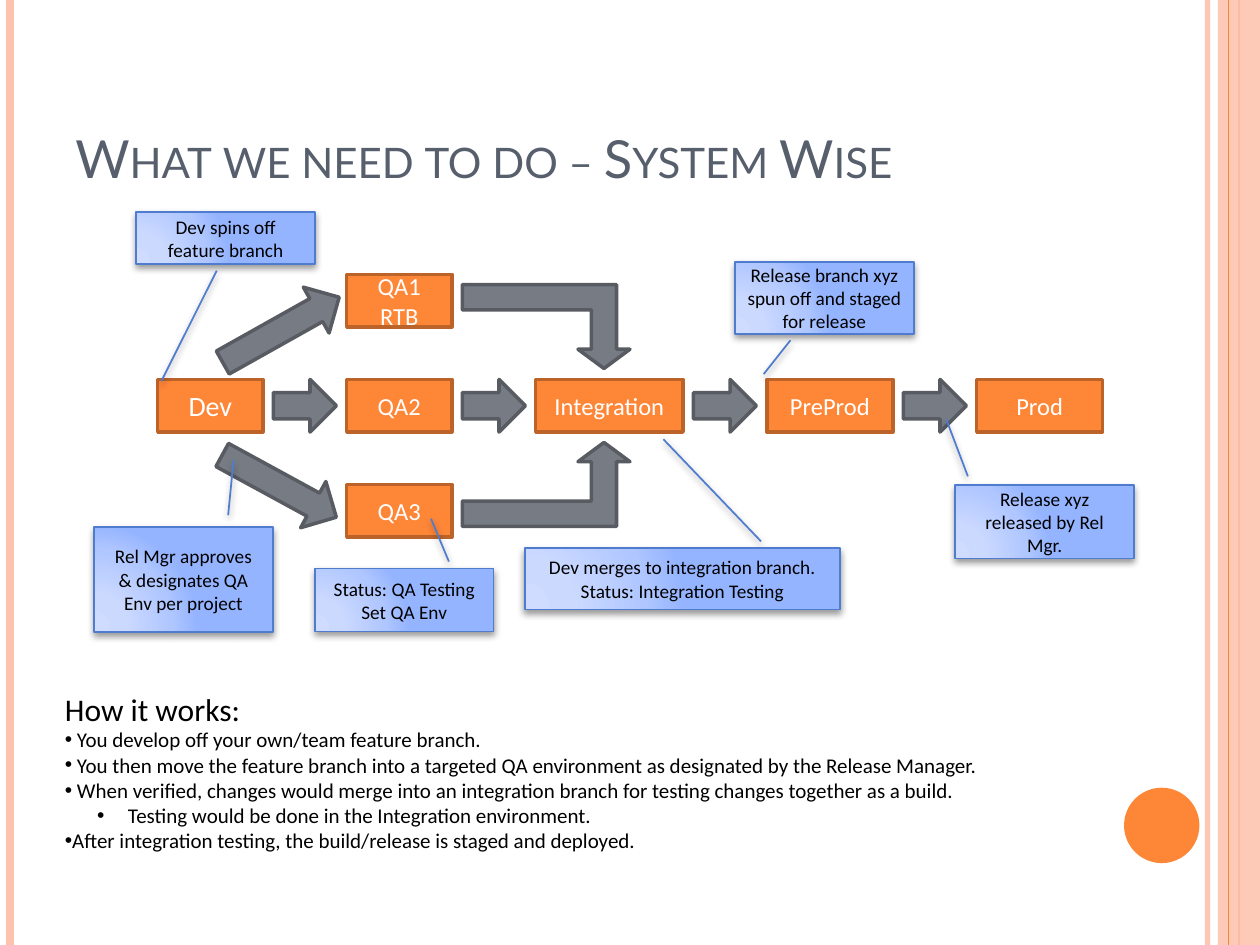
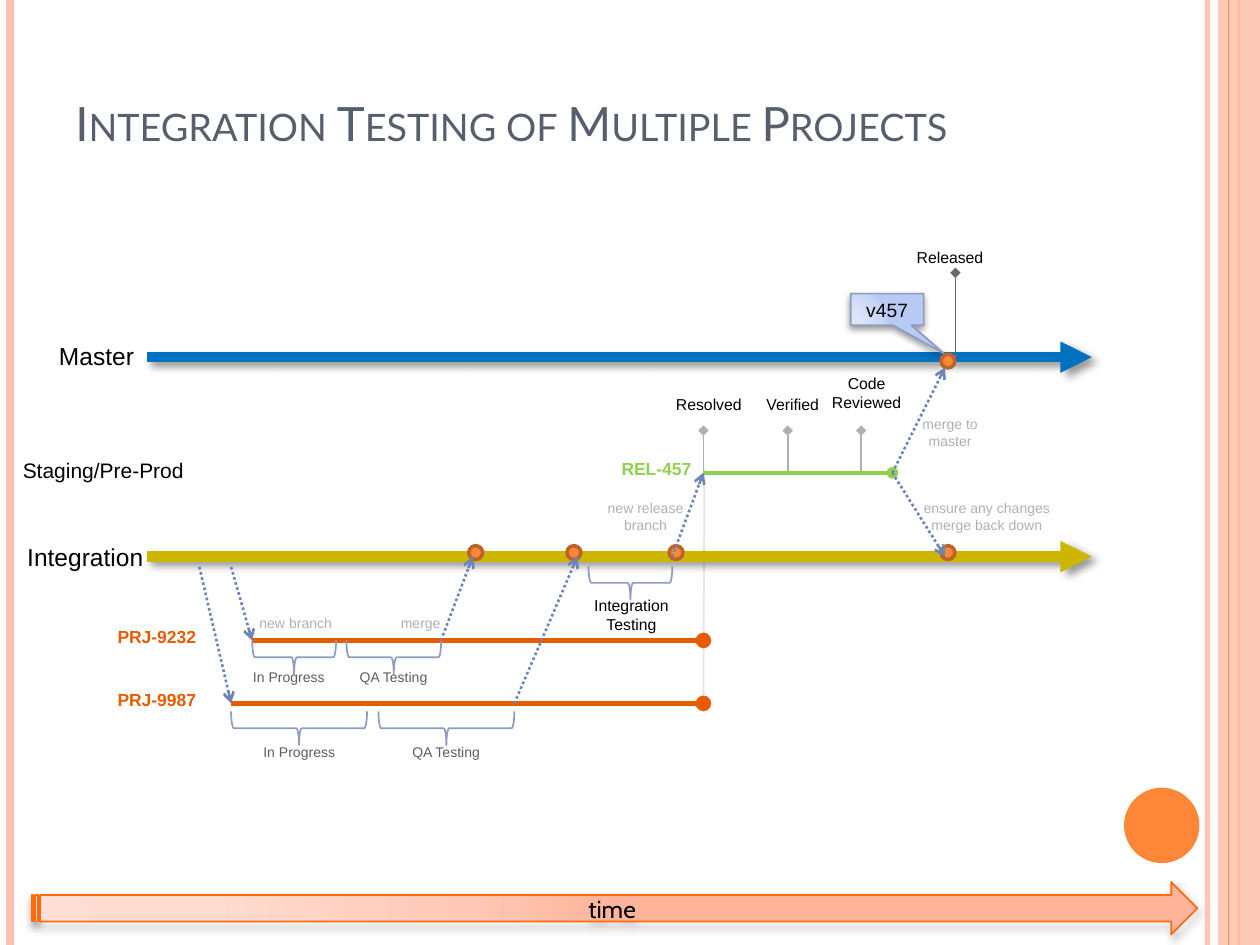
from lxml import etree
from pptx import Presentation
from pptx import util as u
from pptx.dml.color import RGBColor
from pptx.enum import dml, shapes, text
from pptx.oxml import parse_xml
from pptx.oxml.ns import nsdecls, qn

PRESET = shapes.MSO_SHAPE
CENTER, LEFT = text.PP_ALIGN.CENTER, text.PP_ALIGN.LEFT

BLACK = RGBColor(0x00, 0x00, 0x00)
WHITE = RGBColor(0xFF, 0xFF, 0xFF)
SLATE = RGBColor(0x57, 0x5F, 0x6D)
PEACH = RGBColor(0xFE, 0xC3, 0xAE)
ORANGE = RGBColor(0xFE, 0x86, 0x37)
RUST = RGBColor(0xBC, 0x63, 0x29)
STEEL = RGBColor(0x77, 0x7C, 0x84)
STEEL_EDGE = RGBColor(0x58, 0x5C, 0x62)
CALLOUT_EDGE = RGBColor(0x4F, 0x7C, 0xCF)
BRACE = RGBColor(0x8D, 0x9C, 0xBF)
FLOW = RGBColor(0x6E, 0x84, 0xB4)
MASTER = RGBColor(0x00, 0x70, 0xC0)
INTEGRATION = RGBColor(0xCE, 0xB5, 0x00)
PROJECT = RGBColor(0xE7, 0x5C, 0x01)
RELEASE = RGBColor(0x92, 0xD0, 0x50)
PALE = RGBColor(0xE4, 0xE5, 0xE6)
GREY = RGBColor(0xAD, 0xB0, 0xB5)
DARK_GREY = RGBColor(0x59, 0x5D, 0x63)
PIN = RGBColor(0x63, 0x6A, 0x74)
TIME_EDGE = RGBColor(0xFF, 0x6B, 0x0A)
BLUE_GLOW = ["CFDCFF", "CBD9FF", "AFC6FF", "95B4FF"]
SOFT_GLOW = ["DEE6FA", "DBE4F9", "CAD7F7", "B8CAF5"]
PEACH_GLOW = ["FFDED5", "FFDBD0", "FFC8B6", "FFB59B"]

SHADOW = (
    '<a:outerShdw %s blurRad="50800" dist="%d" dir="%d" rotWithShape="0">'
    '<a:srgbClr val="000000"><a:alpha val="40000"/></a:srgbClr></a:outerShdw>'
)


def box(slide, kind, at, words="", fill=None, edge=None, width=1,
        color=BLACK, align=CENTER, wrap=True, **formats):
    place = [u.Cm(length) for length in at]
    if kind is None:
        item = slide.shapes.add_textbox(*place)
        item.text_frame.auto_size = text.MSO_AUTO_SIZE.SHAPE_TO_FIT_TEXT
    else:
        item = slide.shapes.add_shape(kind, *place)
        item.shadow.inherit = False
        item.fill.background()
        item.line.fill.background()
        item.text_frame.vertical_anchor = text.MSO_ANCHOR.MIDDLE
    if edge is not None:
        item.line.color.rgb = edge
        item.line.width = u.Pt(width)
    if isinstance(fill, list):
        stops = "".join(
            f'<a:gs pos="{pos}000"><a:srgbClr val="{tone}"/></a:gs>'
            for pos, tone in zip((0, 30, 75, 100), fill))
        glow = parse_xml(
            f'<a:gradFill {nsdecls("a")} rotWithShape="1"><a:gsLst>{stops}</a:gsLst>'
            '<a:path path="circle"><a:fillToRect l="5000" t="100000" r="120000" b="10000"/>'
            '</a:path></a:gradFill>')
        props = item._element.spPr
        props.replace(props.find(qn("a:noFill")), glow)
        props.find(qn("a:effectLst")).append(
            parse_xml(SHADOW % (nsdecls("a"), u.Pt(2), 5400000)))
    elif fill is not None:
        item.fill.solid()
        item.fill.fore_color.rgb = fill
    item.text_frame.word_wrap = wrap
    if words:
        item.text_frame.text = words
        for paragraph in item.text_frame.paragraphs:
            paragraph.alignment = align
            for run in paragraph.runs:
                run.font.color.rgb = color
                for key, value in formats.items():
                    setattr(run.font, key, u.Pt(value) if key == "size" else value)
    return item


def stroke(slide, start, end, color, width, head=None, tail=None, dotted=False, shadow=False):
    item = slide.shapes.add_connector(
        shapes.MSO_CONNECTOR.STRAIGHT, *[u.Cm(length) for length in (*start, *end)])
    item.line.color.rgb = color
    item.line.width = u.Pt(width)
    if dotted:
        item.line.dash_style = dml.MSO_LINE.ROUND_DOT
    props = item._element.spPr
    for tag, style in (("a:headEnd", head), ("a:tailEnd", tail)):
        if style:
            etree.SubElement(props.find(qn("a:ln")), qn(tag), type=style)
    effects = etree.SubElement(props, qn("a:effectLst"))
    if shadow:
        effects.append(parse_xml(SHADOW % (nsdecls("a"), u.Pt(3), 2700000)))
    return item


deck = Presentation()
deck.slide_width, deck.slide_height = u.Cm(25.4), u.Cm(19.05)
BOTTOM = 19.05

pages = []
for heading, height, size in (
    ("What we need to do – System Wise", 3.18, 30),
    ("Integration Testing of Multiple Projects", 2.41, 27),
):
    page = deck.slides.add_slide(deck.slide_layouts[6])
    pages.append(page)
    rail = stroke(page, (24.34, 0), (24.34, BOTTOM), PEACH, 3)
    stroke(page, (0.21, 0), (0.21, BOTTOM), PEACH, 4.5)
    stroke(page, (24.98, 0), (24.98, BOTTOM), ORANGE, 1.5)
    band = box(page, PRESET.RECTANGLE, (24.55, 0, 0.85, BOTTOM), fill=PEACH)
    for sheer, alpha in ((rail, "93000"), (band, "87000")):
        tint = sheer._element.spPr.find(".//" + qn("a:srgbClr"))
        etree.SubElement(tint, qn("a:alpha"), val=alpha)
    stroke(page, (24.77, 0), (24.77, BOTTOM), ORANGE, 0.75)
    box(page, PRESET.OVAL, (22.66, 15.88, 1.52, 1.52), fill=ORANGE)
    title = box(page, None, (1.27, 0.76, 20.75, height), heading,
                color=SLATE, align=LEFT, size=size, name="Lato")
    title.text_frame.auto_size = text.MSO_AUTO_SIZE.NONE
    title.text_frame.vertical_anchor = text.MSO_ANCHOR.BOTTOM
    title.text_frame.paragraphs[0].runs[0].font._element.set("cap", "small")

system, timeline = pages

STAGE = dict(fill=ORANGE, edge=RUST, width=2, color=WHITE, name="Calibri")
ARROW = dict(fill=STEEL, edge=STEEL_EDGE, width=2)
ROW, ROW_STEP, STAGE_HEIGHT = 7.65, 2.12, 1.06

left = 3.18
for stage, width, size in (("Dev", 2.12, 16), ("QA2", 2.12, 14), ("Integration", 2.97, 14),
                           ("PreProd", 2.54, 14), ("Prod", 2.54, 14)):
    box(system, PRESET.RECTANGLE, (left, ROW, width, STAGE_HEIGHT), stage, size=size, **STAGE)
    left += width
    if stage != "Prod":
        box(system, PRESET.RIGHT_ARROW, (left + 0.21, ROW, 1.27, STAGE_HEIGHT), **ARROW)
    left += 1.69

for stage, top in (("QA1\nRTB", ROW - ROW_STEP), ("QA3", ROW + ROW_STEP)):
    box(system, PRESET.RECTANGLE, (6.99, top, 2.12, STAGE_HEIGHT), stage, size=14, **STAGE)

for top, width, angle in ((6.12, 2.69, -29.3), (9.27, 2.62, 28.6)):
    branch = box(system, PRESET.RIGHT_ARROW, (4.32, top, width, STAGE_HEIGHT), **ARROW)
    branch.rotation = angle

for top, flipped in ((8.92, "0"), (5.74, "1")):
    merge = box(system, PRESET.BENT_UP_ARROW, (9.32, top, 3.38, 1.69), **ARROW)
    for index, value in enumerate((0.3, 0.31, 0.23)):
        merge.adjustments[index] = value
    merge._element.spPr.xfrm.set("flipV", flipped)

box(system, None, (1.06, 13.79, 4.09, 1.02), "How it works:",
    align=LEFT, wrap=False, size=18, name="Calibri")
steps = box(system, None, (1.06, 14.53, 22.86, 2.82), "\n".join((
    " You develop off your own/team feature branch.",
    " You then move the feature branch into a targeted QA environment as designated by the Release Manager.",
    " When verified, changes would merge into an integration branch for testing changes together as a build.",
    "Testing would be done in the Integration environment.",
    "After integration testing, the build/release is staged and deployed.",
)), align=LEFT, size=12, name="Calibri")
for number, step in enumerate(steps.text_frame.paragraphs):
    nested = number == 3
    step.level = int(nested)
    layout = step._element.get_or_add_pPr()
    layout.set("marL", str(u.Cm(1.27 * nested)))
    layout.set("indent", str(u.Cm(-0.62 * nested)))
    etree.SubElement(layout, qn("a:buFont"), typeface="Arial")
    etree.SubElement(layout, qn("a:buChar"), char="•")

for note, at, pointer in (
    ("Status: QA Testing\nSet QA Env", (6.35, 11.46, 3.6, 1.27), (-0.11, 0.75, -0.79, 0.65)),
    ("Dev spins off feature branch", (2.75, 4.27, 3.6, 1.06), (1.12, 0.45, 3.22, 0.14)),
    ("Rel Mgr approves & designates QA Env per project", (1.9, 10.62, 3.6, 2.12),
     (-0.11, 0.75, -0.63, 0.78)),
    ("Dev merges to integration branch.\nStatus: Integration Testing", (10.58, 11.05, 6.35, 1.24),
     (-0.11, 0.75, -1.77, 0.44)),
    ("Release branch xyz spun off and staged for release", (14.82, 5.28, 3.6, 1.45),
     (1.09, 0.31, 1.56, 0.16)),
    ("Release xyz released by Rel Mgr.", (19.26, 9.78, 3.6, 1.48), (-0.12, 0.07, -0.89, -0.05)),
):
    callout = box(system, PRESET.LINE_CALLOUT_1, at, note, fill=BLUE_GLOW,
                  edge=CALLOUT_EDGE, size=11, name="Calibri")
    for index, value in enumerate(pointer):
        callout.adjustments[index] = value

MASTER_Y, STAGING_Y, INTEGRATION_Y, FIRST_Y, SECOND_Y = 7.2, 9.53, 11.22, 12.91, 14.18
RESOLVED_X, STAGED_X = 14.18, 17.99

stroke(timeline, (14.2, 9.45), (RESOLVED_X, SECOND_Y), PALE, 1)
for y, color in ((MASTER_Y, MASTER), (INTEGRATION_Y, INTEGRATION)):
    stroke(timeline, (2.96, y), (22.01, y), color, 6, tail="triangle", shadow=True)
for x, y in ((5.08, FIRST_Y), (4.66, SECOND_Y)):
    stroke(timeline, (x, y), (RESOLVED_X, y), PROJECT, 3, tail="oval")
for x in (RESOLVED_X, 15.88, 17.36):
    stroke(timeline, (x, 8.68), (x, STAGING_Y), GREY, 1, head="diamond")
stroke(timeline, (RESOLVED_X, STAGING_Y), (STAGED_X, STAGING_Y), RELEASE, 2.25, tail="oval")
stroke(timeline, (19.26, 5.5), (19.26, MASTER_Y), PIN, 1, head="diamond")

DEPTH = 0.68
for x, y, span in ((5.93, 13.25, 1.69), (7.94, 13.25, 1.91), (12.71, 11.75, 1.69),
                   (6.03, 14.68, 2.74), (9, 14.68, 2.74)):
    brace = box(timeline, PRESET.LEFT_BRACE,
                (x - DEPTH / 2, y - span / 2, DEPTH, span), edge=BRACE)
    brace.rotation = 270

version = box(timeline, PRESET.RECTANGULAR_CALLOUT, (17.15, 5.92, 1.47, 0.64), "v457",
              fill=SOFT_GLOW, edge=BRACE, size=11, name="Arial")
version.adjustments[0], version.adjustments[1] = 0.78, 1.39

for x, y in ((9.45, 11), (11.43, 11), (13.49, 11), (18.97, 11), (18.97, 7.14)):
    box(timeline, PRESET.OVAL, (x, y, 0.28, 0.28), fill=ORANGE, edge=RUST, width=2)

for start, end in (
    ((8.89, FIRST_Y), (9.53, INTEGRATION_Y)),
    ((10.37, SECOND_Y), (11.64, INTEGRATION_Y)),
    ((13.55, INTEGRATION_Y), (RESOLVED_X, STAGING_Y)),
    ((4.66, 11.43), (5.08, FIRST_Y)),
    ((4.02, 11.43), (4.66, SECOND_Y)),
    ((STAGED_X, STAGING_Y), (19.05, 7.41)),
    ((STAGED_X, STAGING_Y), (19.05, INTEGRATION_Y)),
):
    stroke(timeline, start, end, FLOW, 1.5, tail="arrow", dotted=True)

for label, at, size, color in (
    ("Master", (0.94, 6.76, 2.03, 0.86), 14, BLACK),
    ("Integration", (0.3, 10.8, 2.87, 0.86), 14, BLACK),
    ("Staging/Pre-Prod", (0.21, 9.1, 3.79, 0.76), 12, BLACK),
    ("PRJ-9232", (2.12, 12.49, 2.12, 0.67), 10, PROJECT),
    ("PRJ-9987", (2.12, 13.76, 2.12, 0.67), 10, PROJECT),
    ("REL-457", (12.28, 9.1, 1.94, 0.67), 10, RELEASE),
    ("new branch", (4.98, 12.27, 2.01, 0.6), 8, GREY),
    ("merge", (7.83, 12.27, 1.32, 0.6), 8, GREY),
):
    box(timeline, None, at, label, color=color, align=LEFT, wrap=False,
        size=size, name="Arial", bold=size == 10)

for label, at, size, color in (
    ("In Progress", (4.45, 13.36, 2.75, 0.6), 8, DARK_GREY),
    ("QA Testing", (6.77, 13.36, 2.33, 0.6), 8, DARK_GREY),
    ("In Progress", (4.66, 14.86, 2.75, 0.6), 8, DARK_GREY),
    ("QA Testing", (7.83, 14.86, 2.33, 0.6), 8, DARK_GREY),
    ("new release branch", (11.85, 9.95, 2.33, 0.93), 8, GREY),
    ("merge to master", (17.99, 8.26, 2.33, 0.93), 8, GREY),
    ("ensure any changes merge back down", (18.2, 9.95, 3.39, 0.93), 8, GREY),
    ("Integration Testing", (11.28, 11.89, 2.9, 1.02), 9, BLACK),
    ("Resolved", (13.34, 7.83, 1.9, 0.64), 9, BLACK),
    ("Verified", (15.03, 7.83, 1.9, 0.64), 9, BLACK),
    ("Code\nReviewed", (16.52, 7.41, 1.9, 1.02), 9, BLACK),
    ("Released", (18.2, 4.87, 1.9, 0.64), 9, BLACK),
):
    box(timeline, None, at, label, color=color, size=size, name="Arial")

box(timeline, PRESET.STRIPED_RIGHT_ARROW, (0.64, 17.78, 23.5, 1.06), "time",
    fill=PEACH_GLOW, edge=TIME_EDGE, size=14, name="Cabin")

deck.save("out.pptx")
